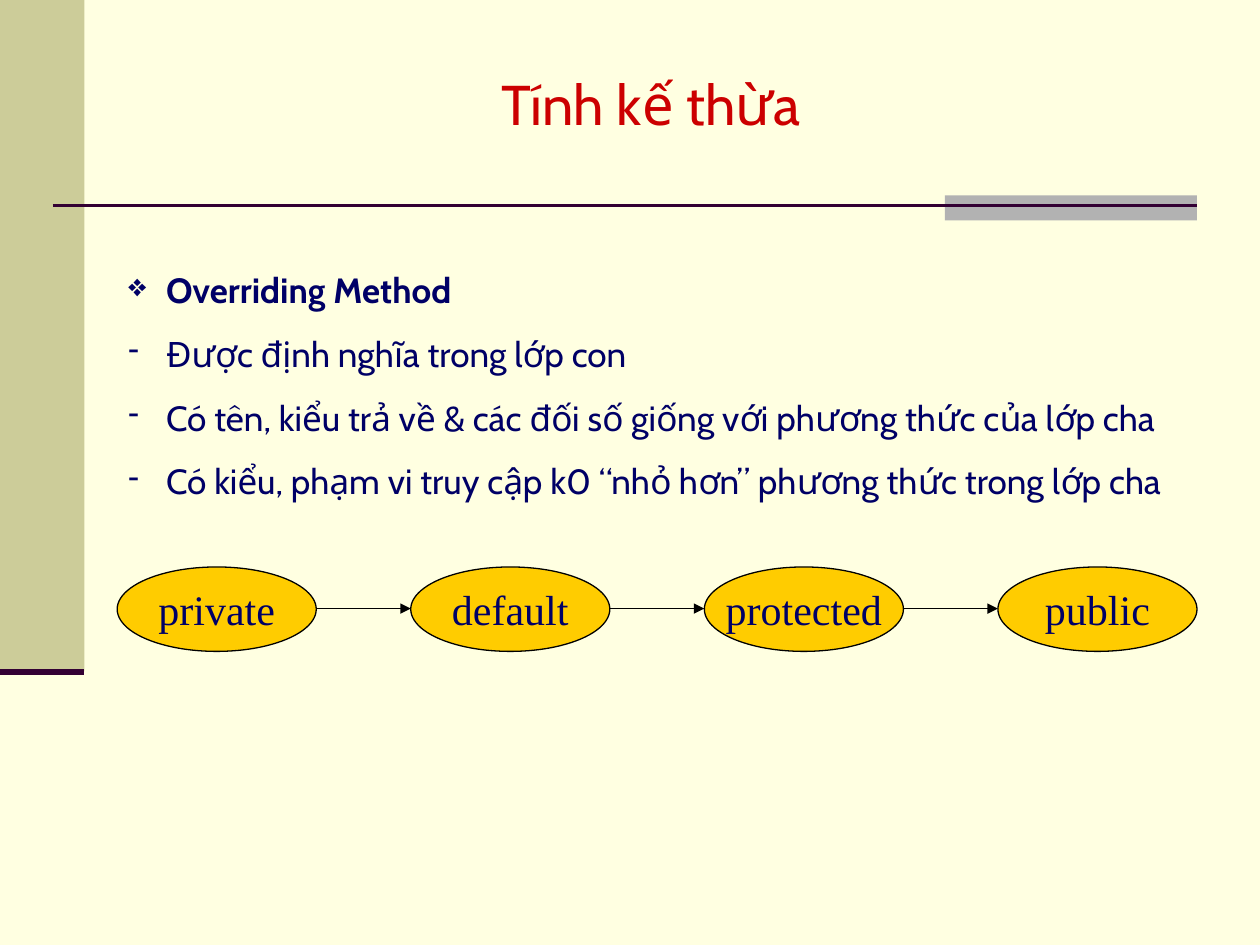
from lxml.etree import SubElement
from pptx import Presentation
from pptx.dml.color import RGBColor
from pptx.enum.shapes import MSO_CONNECTOR, MSO_SHAPE
from pptx.enum.text import MSO_ANCHOR, PP_ALIGN
from pptx.oxml.ns import qn
from pptx.util import Inches, Pt


def color(value):
    return RGBColor.from_string(value)


def add_rule(x1, y1, x2, y2, stroke, width):
    rule = slide.shapes.add_connector(
        MSO_CONNECTOR.STRAIGHT, Inches(x1), Inches(y1), Inches(x2), Inches(y2))
    rule.line.color.rgb = color(stroke)
    rule.line.width = Pt(width)
    SubElement(rule._element.spPr, qn("a:effectLst"))
    return rule


prs = Presentation()
prs.slide_width, prs.slide_height = Inches(10), Inches(7.5)
slide = prs.slides.add_slide(prs.slide_layouts[6])
slide.background.fill.solid()
slide.background.fill.fore_color.rgb = color("FFFFE1")

for left, top, width, height, fill in (
        (0, 0, 0.67, 5.33, "CCCC99"), (7.5, 1.55, 2, 0.2, "B2B2B2")):
    band = slide.shapes.add_shape(
        MSO_SHAPE.RECTANGLE, Inches(left), Inches(top), Inches(width), Inches(height))
    band.shadow.inherit = False
    band.fill.solid()
    band.fill.fore_color.rgb = color(fill)
    band.line.fill.background()

add_rule(0.42, 1.63, 9.5, 1.63, "330033", 1.5)
add_rule(0, 5.33, 0.67, 5.33, "330033", 3.5)

title = slide.shapes.add_textbox(Inches(0.75), Inches(0.5), Inches(8.83), Inches(0.64))
title.text_frame.word_wrap = True
heading = title.text_frame.paragraphs[0]
heading.text = "Tính kế thừa"
heading.alignment = PP_ALIGN.CENTER
heading_format = {"name": "Cabin", "size": Pt(32)}
for key, value in heading_format.items():
    setattr(heading.font, key, value)
heading.font.color.rgb = color("CC0000")

rules = (
    ("❖", "Overriding Method", True),
    ("-", "Được định nghĩa trong lớp con", False),
    ("-", "Có tên, kiểu trả về & các đối số giống với phương thức của lớp cha", False),
    ("-", "Có kiểu, phạm vi truy cập k0 “nhỏ hơn” phương thức trong lớp cha", False),
)
body = slide.shapes.add_textbox(Inches(0.92), Inches(2.08), Inches(8.83), Inches(2.62))
body.text_frame.word_wrap = True
for index, (bullet, wording, bold) in enumerate(rules):
    point = body.text_frame.paragraphs[0] if index == 0 else body.text_frame.add_paragraph()
    point.text = wording
    point.alignment = PP_ALIGN.JUSTIFY
    if index:
        point.space_before = Pt(12.5)
    properties = point._p.get_or_add_pPr()
    properties.set("marL", str(Inches(0.3)))
    properties.set("indent", str(-Inches(0.3)))
    SubElement(SubElement(properties, qn("a:buClr")), qn("a:srgbClr"), val="000066")
    SubElement(properties, qn("a:buSzPct"), val="90000")
    SubElement(properties, qn("a:buChar"), char=bullet)
    point_format = {"name": "Cabin", "size": Pt(20), "bold": bold}
    for key, value in point_format.items():
        setattr(point.font, key, value)
    point.font.color.rgb = color("000066")

first_left, oval_width, pitch = 0.93, 1.58, 2.33
access_levels = ("private", "default", "protected", "public")
level_format = {"name": "Times New Roman", "size": Pt(24)}
frame_format = {"word_wrap": False, "vertical_anchor": MSO_ANCHOR.MIDDLE}
for side in ("left", "top", "right", "bottom"):
    frame_format["margin_" + side] = Inches(0.01)

for index, level in enumerate(access_levels):
    left = first_left + index * pitch
    oval = slide.shapes.add_shape(
        MSO_SHAPE.OVAL, Inches(left), Inches(4.5), Inches(oval_width), Inches(0.67))
    oval.shadow.inherit = False
    oval.fill.solid()
    oval.fill.fore_color.rgb = color("FFCC00")
    oval.line.color.rgb = color("000000")
    oval.line.width = Pt(0.75)
    for key, value in frame_format.items():
        setattr(oval.text_frame, key, value)
    label = oval.text_frame.paragraphs[0]
    label.text = level
    label.alignment = PP_ALIGN.CENTER
    for key, value in level_format.items():
        setattr(label.font, key, value)
    label.font.color.rgb = color("000066")

for index in range(len(access_levels) - 1):
    left = first_left + index * pitch
    arrow = add_rule(left + oval_width, 4.83, left + pitch, 4.83, "000000", 0.75)
    SubElement(arrow.line._get_or_add_ln(), qn("a:tailEnd"), type="triangle")

prs.save("out.pptx")
